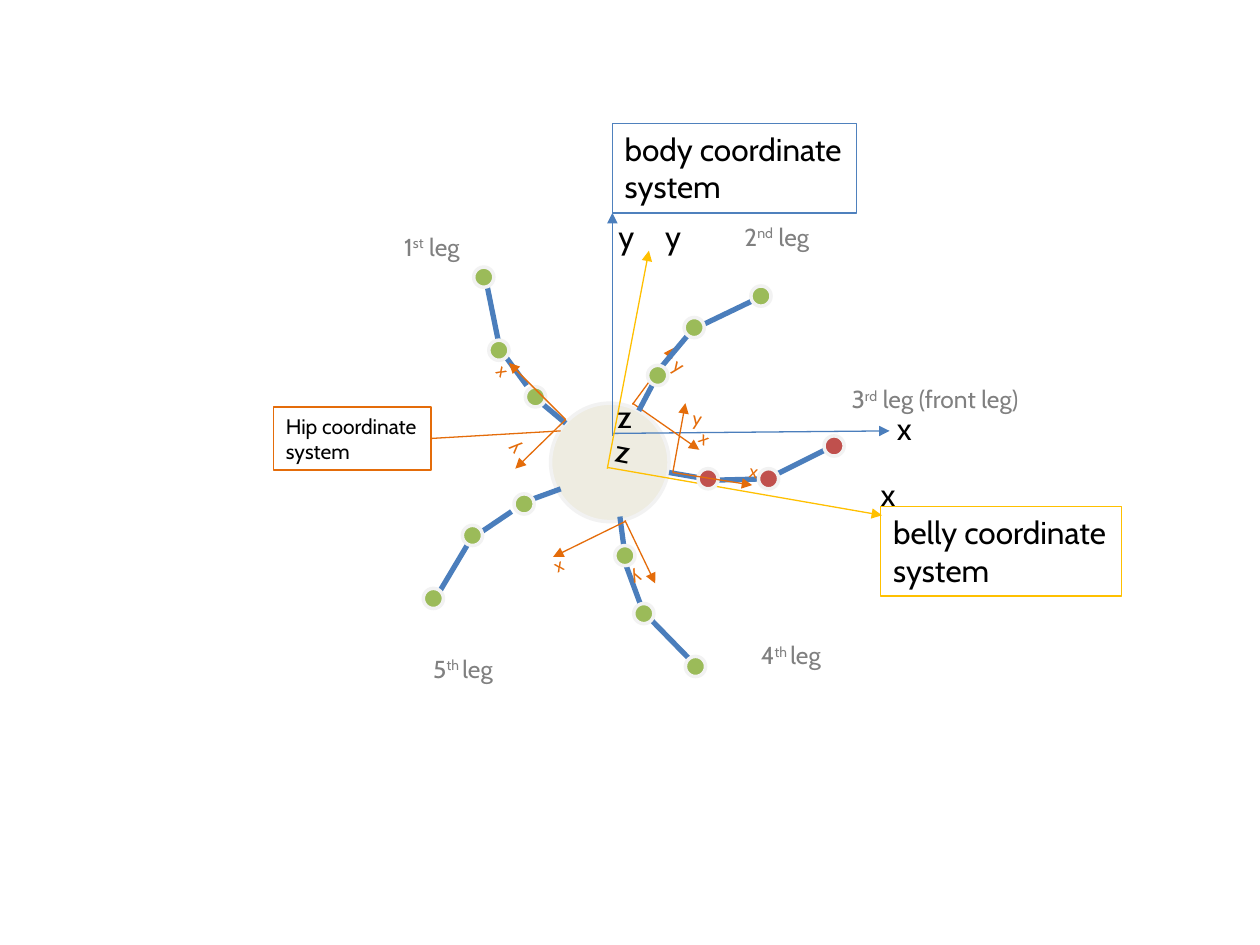
from dataclasses import dataclass

from lxml import etree
from pptx import Presentation
from pptx.dml.color import RGBColor
from pptx.enum import shapes, text
from pptx.oxml import ns
from pptx.util import Inches, Pt

FONT = "Cabin"
BLUE, BOX_BLUE, YELLOW, ORANGE = "4B7EBC", "4F81BD", "FFC000", "E46C0A"
GREEN, RED, BLACK, GREY = "9BBB59", "C0504D", "000000", "808080"
BEIGE, PALE = "EEECE1", "F2F2F2"
JOINT_SIZE = 0.16

Point = tuple[float, float]
Segment = tuple[Point, Point]


@dataclass
class Label:
    text: str
    left: float
    top: float
    rotation: float = 0


@dataclass
class Axes:
    color: str
    arrows: tuple[Segment, ...]
    labels: tuple[Label, ...]
    label_size: float = 10.5
    label_color: str = ORANGE


@dataclass
class Leg:
    links: tuple[Segment, ...]
    joints: tuple[Point, ...]  # top left corners
    color: str = GREEN


@dataclass
class LegName:
    number: str
    suffix: str
    rest: str
    left: float
    top: float
    width: float = 1.1


@dataclass
class Box:
    lines: tuple[str, str]
    left: float
    top: float
    width: float
    height: float
    color: str
    size: float = 18


BODY_AXES = Axes(BLUE, (((4.86, 3.44), (7.06, 3.42)), ((4.86, 3.46), (4.86, 1.69))),
                 (Label("z", 4.8, 3.1), Label("x", 6.89, 3.72), Label("y", 4.81, 1.67)), 18, BLACK)
BELLY_AXES = Axes(YELLOW, (((4.82, 3.71), (7, 4.09)), ((4.82, 3.72), (5.15, 1.99))),
                  (Label("z", 4.79, 3.38, 10.8), Label("x", 7.02, 3.2), Label("y", 5.18, 1.67)), 18, BLACK)
SECOND_HIP = Axes(ORANGE, (((5.02, 3.2), (5.55, 3.57)), ((5.02, 3.21), (5.35, 2.76))),
                  (Label("x", 5.46, 3.34, 36), Label("y", 5.25, 2.76, 36)))
OTHER_HIPS = (
    Axes(ORANGE, (((4.49, 3.33), (4.04, 2.88)), ((4.49, 3.33), (4.09, 3.72))),
         (Label("x", 3.83, 2.82, 226), Label("y", 3.94, 3.42, 226))),
    Axes(ORANGE, (((4.96, 4.14), (4.39, 4.42)), ((4.96, 4.13), (5.2, 4.63))),
         (Label("x", 4.31, 4.37, 154), Label("y", 4.92, 4.45, 154))),
    Axes(ORANGE, (((5.34, 3.75), (5.97, 3.85)), ((5.34, 3.75), (5.44, 3.2))),
         (Label("x", 5.85, 3.6, 10), Label("y", 5.4, 3.18, 10))),
)
LEGS = (
    Leg((((3.97, 2.78), (3.85, 2.19)), ((4.49, 3.36), (4.31, 3.21)), ((4.18, 3.06), (3.94, 2.73))),
        ((4.17, 3.07), (3.88, 2.7), (3.76, 2.12))),
    Leg((((5.51, 2.61), (6.05, 2.35)), ((5.07, 3.26), (5.18, 3.05)), ((5.25, 2.91), (5.51, 2.6))),
        ((5.14, 2.9), (5.43, 2.52), (5.96, 2.27))),
    Leg((((6.09, 3.8), (6.63, 3.53)), ((5.31, 3.75), (5.54, 3.79)), ((5.7, 3.81), (6.1, 3.8))),
        ((5.54, 3.72), (6.02, 3.72), (6.54, 3.46)), RED),
    Leg((((3.76, 4.24), (3.45, 4.76)), ((4.45, 3.88), (4.23, 3.96)), ((4.06, 4.06), (3.72, 4.29))),
        ((4.08, 3.92), (3.67, 4.17), (3.36, 4.67))),
    Leg((((5.11, 4.86), (5.53, 5.29)), ((4.92, 4.1), (4.95, 4.33)), ((4.97, 4.49), (5.11, 4.87))),
        ((4.88, 4.33), (5.03, 4.79), (5.44, 5.21))),
)
LEG_NAMES = (
    LegName("1", "st", " leg", 3.11, 1.79),
    LegName("2", "nd", " leg", 5.81, 1.71),
    LegName("3", "rd", " leg (front leg)", 6.66, 3, 1.99),
    LegName("4", "th ", "leg", 5.94, 5.03),
    LegName("5", "th ", "leg", 3.34, 5.14),
)
BODY_BOX = Box(("body coordinate", "system"), 4.86, 0.98, 1.94, 0.71, BOX_BLUE)
BELLY_BOX = Box(("belly coordinate", "system"), 6.99, 4.02, 1.91, 0.71, YELLOW)
HIP_BOX = Box(("Hip coordinate", "system"), 2.17, 3.23, 1.25, 0.5, ORANGE, 12)


def rgb(color: str) -> RGBColor:
    return RGBColor.from_string(color)


def style_font(paragraph, size: float, color: str) -> None:
    paragraph.font.name = FONT
    paragraph.font.size = Pt(size)
    paragraph.font.color.rgb = rgb(color)


def draw_line(slide, segment: Segment, color: str, width: float = 0.75, arrow: bool = False) -> None:
    (x1, y1), (x2, y2) = segment
    connector = slide.shapes.add_connector(
        shapes.MSO_CONNECTOR.STRAIGHT, Inches(x1), Inches(y1), Inches(x2), Inches(y2))
    connector.line.color.rgb = rgb(color)
    connector.line.width = Pt(width)
    properties = connector._element.spPr
    if arrow:
        etree.SubElement(properties.find(ns.qn("a:ln")), ns.qn("a:tailEnd"), type="triangle")
    etree.SubElement(properties, ns.qn("a:effectLst"))


def draw_circle(slide, corner: Point, size: float, color: str) -> None:
    left, top = corner
    circle = slide.shapes.add_shape(
        shapes.MSO_SHAPE.OVAL, Inches(left), Inches(top), Inches(size), Inches(size))
    circle.shadow.inherit = False
    circle.fill.solid()
    circle.fill.fore_color.rgb = rgb(color)
    circle.line.color.rgb = rgb(PALE)
    circle.line.width = Pt(2)


def draw_axes(slide, axes: Axes) -> None:
    for arrow in axes.arrows:
        draw_line(slide, arrow, axes.color, arrow=True)
    width, height = (0.31, 0.4) if axes.label_size == 18 else (0.27, 0.29)
    for label in axes.labels:
        shape = slide.shapes.add_textbox(
            Inches(label.left), Inches(label.top), Inches(width), Inches(height))
        shape.rotation = label.rotation
        shape.text_frame.word_wrap = False
        shape.text_frame.auto_size = text.MSO_AUTO_SIZE.SHAPE_TO_FIT_TEXT
        shape.text_frame.text = label.text
        style_font(shape.text_frame.paragraphs[0], axes.label_size, axes.label_color)


def draw_leg(slide, leg: Leg) -> None:
    for link in leg.links:
        draw_line(slide, link, BLUE, 3)
    for joint in leg.joints:
        draw_circle(slide, joint, JOINT_SIZE, leg.color)


def draw_leg_name(slide, name: LegName) -> None:
    shape = slide.shapes.add_textbox(
        Inches(name.left), Inches(name.top), Inches(name.width), Inches(0.34))
    shape.text_frame.word_wrap = True
    paragraph = shape.text_frame.paragraphs[0]
    style_font(paragraph, 14, GREY)
    for part in (name.number, name.suffix, name.rest):
        run = paragraph.add_run()
        run.text = part
        if part == name.suffix:
            run._r.get_or_add_rPr().set("baseline", "30000")


def draw_box(slide, box: Box) -> None:
    shape = slide.shapes.add_shape(
        shapes.MSO_SHAPE.RECTANGLE, Inches(box.left), Inches(box.top), Inches(box.width), Inches(box.height))
    shape.shadow.inherit = False
    shape.fill.background()
    shape.line.color.rgb = rgb(box.color)
    shape.line.width = Pt(0.75)
    shape.text_frame.word_wrap = False
    shape.text_frame.vertical_anchor = text.MSO_ANCHOR.TOP
    shape.text_frame.text = "\n".join(box.lines)
    for paragraph in shape.text_frame.paragraphs:
        paragraph.alignment = text.PP_ALIGN.LEFT
        style_font(paragraph, box.size, BLACK)


def main() -> None:
    presentation = Presentation()
    presentation.slide_width, presentation.slide_height = Inches(10), Inches(7.5)
    slide = presentation.slides.add_slide(presentation.slide_layouts[6])

    # Body with its coordinate systems
    draw_circle(slide, (4.37, 3.2), 0.94, BEIGE)
    draw_axes(slide, BODY_AXES)
    draw_box(slide, BODY_BOX)
    for name in LEG_NAMES:
        draw_leg_name(slide, name)
    draw_box(slide, BELLY_BOX)
    draw_axes(slide, BELLY_AXES)

    # Legs and hip coordinate systems
    draw_axes(slide, SECOND_HIP)
    for leg in LEGS:
        draw_leg(slide, leg)
    for hip in OTHER_HIPS:
        draw_axes(slide, hip)

    # Hip callout
    draw_box(slide, HIP_BOX)
    draw_line(slide, ((3.42, 3.48), (4.45, 3.42)), ORANGE)

    presentation.save("out.pptx")


if __name__ == "__main__":
    main()
